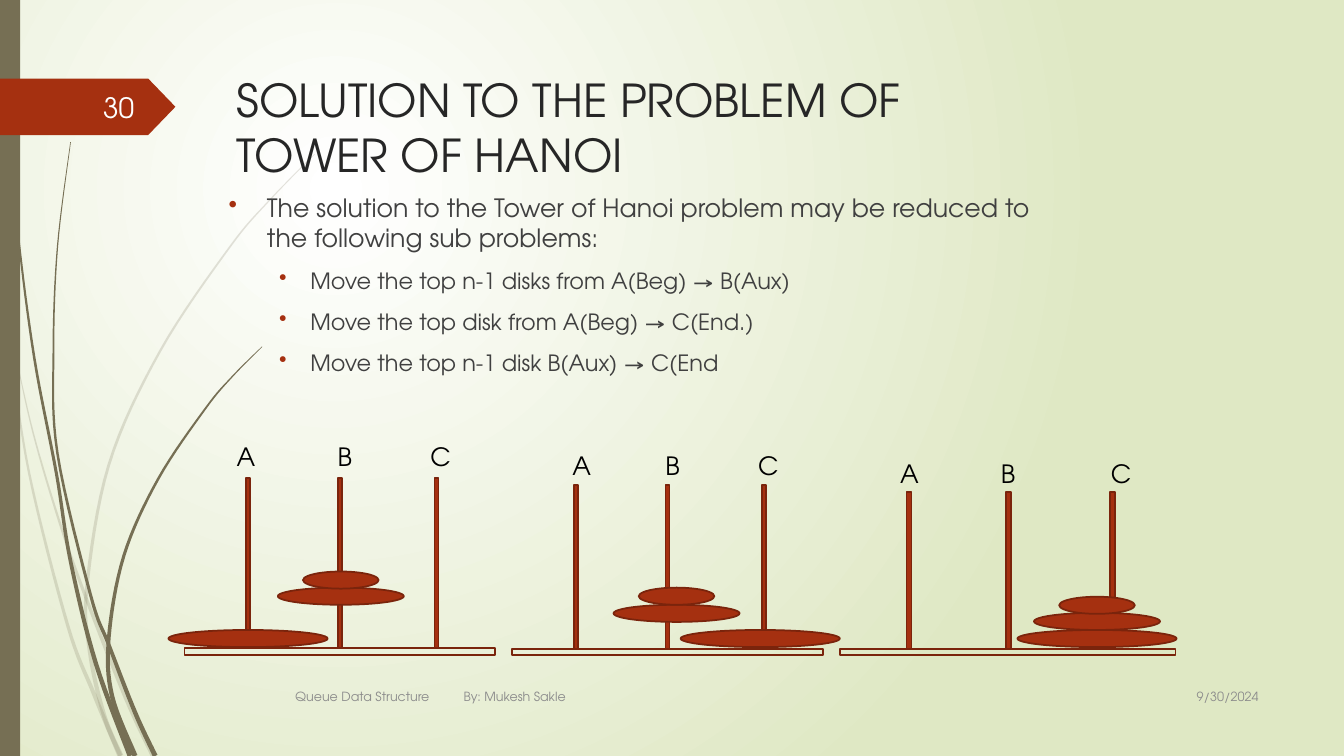
from math import hypot
from lxml import etree
from pptx import Presentation
from pptx.dml.color import RGBColor
from pptx.enum.shapes import MSO_SHAPE
from pptx.enum.text import MSO_ANCHOR, PP_ALIGN
from pptx.oxml.ns import qn
from pptx.util import Inches, Pt

RECT = MSO_SHAPE.RECTANGLE
OVAL = MSO_SHAPE.OVAL
TOP = MSO_ANCHOR.TOP
MIDDLE = MSO_ANCHOR.MIDDLE
LEFT = PP_ALIGN.LEFT
RIGHT = PP_ALIGN.RIGHT
FONT = "TeX Gyre Adventor"
COLORS = {
    "white": "FFFFFF", "green": "DFE8C4", "olive": "766F54", "rust": "A53010",
    "edge": "7A240C", "title": "262626", "body": "404040", "label": "000000",
    "foot": "8C8C8C", "page": "FEFFFF",
}
PALE = [
    [(0, 2.9), (0.1, 3.46), (0.29, 4.7), (0.67, 6.2), (0.93, 6.88), (1.19, 7.5)],
    [(0.14, 3.45), (0.33, 4.3), (0.6, 5.21), (0.86, 5.95), (1.25, 6.93), (1.52, 7.5)],
    [(3.12, 1.53), (2.68, 1.98), (2.28, 2.45), (1.59, 3.48), (1.08, 4.61),
     (0.86, 5.84), (0.89, 6.46), (1.03, 7.09), (1.2, 7.5)],
]
DARK = [
    [(0.04, 0), (0.07, 1.1), (0.18, 2.33), (0.34, 3.55), (0.56, 4.7),
     (0.7, 5.57), (0.95, 6.58), (1.29, 7.5)],
    [(0.7, 1.41), (0.57, 2.45), (0.53, 3.49), (0.57, 4.5), (0.9, 5.91),
     (1.08, 6.4), (1.34, 7.07), (1.54, 7.5)],
    [(2.6, 3.44), (2.31, 3.73), (2.04, 4.05), (1.57, 4.75), (1.23, 5.51),
     (1.08, 6.32), (1.11, 6.9), (1.34, 7.5)],
]
POINTS = [
    ("The solution to the Tower of Hanoi problem may be reduced to the following sub problems:", 0),
    ("Move the top n-1 disks from A(Beg) → B(Aux)", 1),
    ("Move the top disk from A(Beg) → C(End.)", 1),
    ("Move the top n-1 disk B(Aux) → C(End", 1),
]
LEVELS = [(18, 0.38, 0.38), (16, 0.81, 0.31)]
TOWERS = [
    dict(base=(1.83, 6.43, 3.08, 0.07), poles=(2.44, 3.35, 4.31), top=4.74,
         width=0.04, names=(2.25, 3.25, 4.17), head=4.33),
    dict(base=(5.08, 6.44, 3.08, 0.06), poles=(5.69, 6.6, 7.56), top=4.81,
         width=0.04, names=(5.58, 6.5, 7.42), head=4.42),
    dict(base=(8.33, 6.44, 3.33, 0.06), poles=(8.99, 9.98, 11.01), top=4.88,
         width=0.05, names=(8.83, 9.83, 10.92), head=4.5),
]
SIZES = (1.58, 1.25, 0.75)
STACKS = [
    ((2.46, 6.25), (3.38, 5.83), (3.38, 5.67)),
    ((7.54, 6.25), (6.71, 6), (6.71, 5.83)),
    ((10.88, 6.25), (10.88, 6.08), (10.88, 5.92)),
]


def color(name):
    return RGBColor.from_string(COLORS[name])


def assign(target, values):
    for key, value in values.items():
        setattr(target, key, value)


def paint(shape, fill=None, line=None):
    shape.shadow.inherit = False
    if fill:
        shape.fill.solid()
        shape.fill.fore_color.rgb = color(fill)
    else:
        shape.fill.background()
    if line:
        shape.line.color.rgb = color(line)
        shape.line.width = Pt(1.25)
    else:
        shape.line.fill.background()


def block(slide, kind, box, fill=None, line="edge"):
    paint(slide.shapes.add_shape(kind, *map(Inches, box)), fill, line)


def outline(slide, points, fill):
    path = [(Inches(x), Inches(y)) for x, y in points]
    form = slide.shapes.build_freeform(*path[0])
    form.add_line_segments(path[1:], close=True)
    shape = form.convert_to_shape()
    paint(shape, fill)
    return shape


def curve(knots, steps=8):
    ends = [knots[0], *knots, knots[-1]]
    points = []
    for a, b, c, d in zip(ends, ends[1:], ends[2:], ends[3:]):
        for step in range(steps):
            t = step / steps
            points.append(tuple(
                b[i] + 0.5 * t * (c[i] - a[i]
                + t * (2 * a[i] - 5 * b[i] + 4 * c[i] - d[i]
                + t * (3 * b[i] - a[i] - 3 * c[i] + d[i])))
                for i in (0, 1)))
    return points + [knots[-1]]


def blade(slide, knots, alpha=None):
    line = curve(knots)
    one, two = [], []
    for i, (x, y) in enumerate(line):
        a, b = line[max(i - 1, 0)], line[min(i + 1, len(line) - 1)]
        dx, dy = b[0] - a[0], b[1] - a[1]
        half = (0.003 + 0.022 * i / len(line)) / hypot(dx, dy)
        one.append((x - dy * half, y + dx * half))
        two.append((x + dy * half, y - dx * half))
    shape = outline(slide, one + two[::-1], "olive")
    if alpha:
        tone = next(shape.fill._xPr.iter(qn("a:srgbClr")))
        etree.SubElement(tone, qn("a:alpha"), val=str(alpha * 1000))


def frame(slide, box, anchor=TOP):
    text = slide.shapes.add_textbox(*map(Inches, box)).text_frame
    assign(text, dict(word_wrap=True, vertical_anchor=anchor))
    return text


def write(para, words, size, tone, align=LEFT):
    para.alignment = align
    run = para.add_run()
    run.text = words
    assign(run.font, dict(name=FONT, size=Pt(size)))
    run.font.color.rgb = color(tone)


def label(slide, box, words, size, tone, align=LEFT, anchor=TOP):
    text = frame(slide, box, anchor)
    write(text.paragraphs[0], words, size, tone, align)
    return text


def bullets(slide, box):
    text = frame(slide, box)
    for i, (words, level) in enumerate(POINTS):
        para = text.add_paragraph() if i else text.paragraphs[0]
        size, left, hang = LEVELS[level]
        props = para._p.get_or_add_pPr()
        props.set("marL", str(Inches(left)))
        props.set("indent", str(Inches(-hang)))
        tint = etree.SubElement(props, qn("a:buClr"))
        etree.SubElement(tint, qn("a:srgbClr"), val=COLORS["rust"])
        etree.SubElement(props, qn("a:buChar"), char="•")
        assign(para, dict(level=level, space_before=Pt(10 if i else 0)))
        write(para, words, size, "body")


def tower(slide, base, poles, top, width, names, head):
    block(slide, RECT, base)
    for x in poles:
        block(slide, RECT, (x, top, width, base[1] - top), "rust")
    for name, x in zip("ABC", names):
        text = label(slide, (x, head, 0.17, 0.4), name, 18, "label")
        text.margin_right = 0


def footer(slide):
    text = label(slide, (2.83, 6.71, 8.33, 0.4),
                 "Queue Data Structure\tBy: Mukesh Sakle", 9, "foot", anchor=MIDDLE)
    tabs = etree.SubElement(text.paragraphs[0]._p.get_or_add_pPr(), qn("a:tabLst"))
    etree.SubElement(tabs, qn("a:tab"), pos=str(Inches(1.67)), algn="l")


def backdrop(slide):
    fill = slide.background.fill
    fill.gradient()
    for stop, name, spot in zip(fill.gradient_stops, ("white", "green"), (0, 1)):
        stop.color.rgb = color(name)
        stop.position = spot
    grad = next(slide.element.iter(qn("a:gradFill")))
    grad.remove(grad.find(qn("a:lin")))
    ring = etree.SubElement(grad, qn("a:path"), path="circle")
    etree.SubElement(ring, qn("a:fillToRect"), l="50000", t="50000", r="100000", b="100000")
    for knots in PALE:
        blade(slide, knots, 20)
    for knots in DARK:
        blade(slide, knots)
    block(slide, RECT, (0, 0, 0.2, 7.5), "olive", None)
    outline(slide, [(0, 0.78), (1.47, 0.78), (1.74, 1.06), (1.47, 1.34), (0, 1.34)], "rust")


def main():
    deck = Presentation()
    assign(deck, dict(slide_width=Inches(13.33), slide_height=Inches(7.5)))
    slide = deck.slides.add_slide(deck.slide_layouts[6])
    backdrop(slide)
    label(slide, (2.25, 0.67, 8.17, 1.25), "SOLUTION TO THE PROBLEM OF TOWER OF HANOI", 32.4, "title")
    bullets(slide, (2.17, 1.86, 8.17, 2.2))
    for parts in TOWERS:
        tower(slide, **parts)
    for stack in STACKS:
        for width, (mid, y) in zip(SIZES, stack):
            block(slide, OVAL, (mid - width / 2, y, width, 0.17), "rust")
    label(slide, (11.33, 6.7, 1.25, 0.41), "9/30/2024", 9, "foot", RIGHT, MIDDLE)
    label(slide, (0.58, 0.86, 0.85, 0.4), "30", 20, "page", RIGHT, MIDDLE)
    footer(slide)
    deck.save("out.pptx")


if __name__ == "__main__":
    main()
